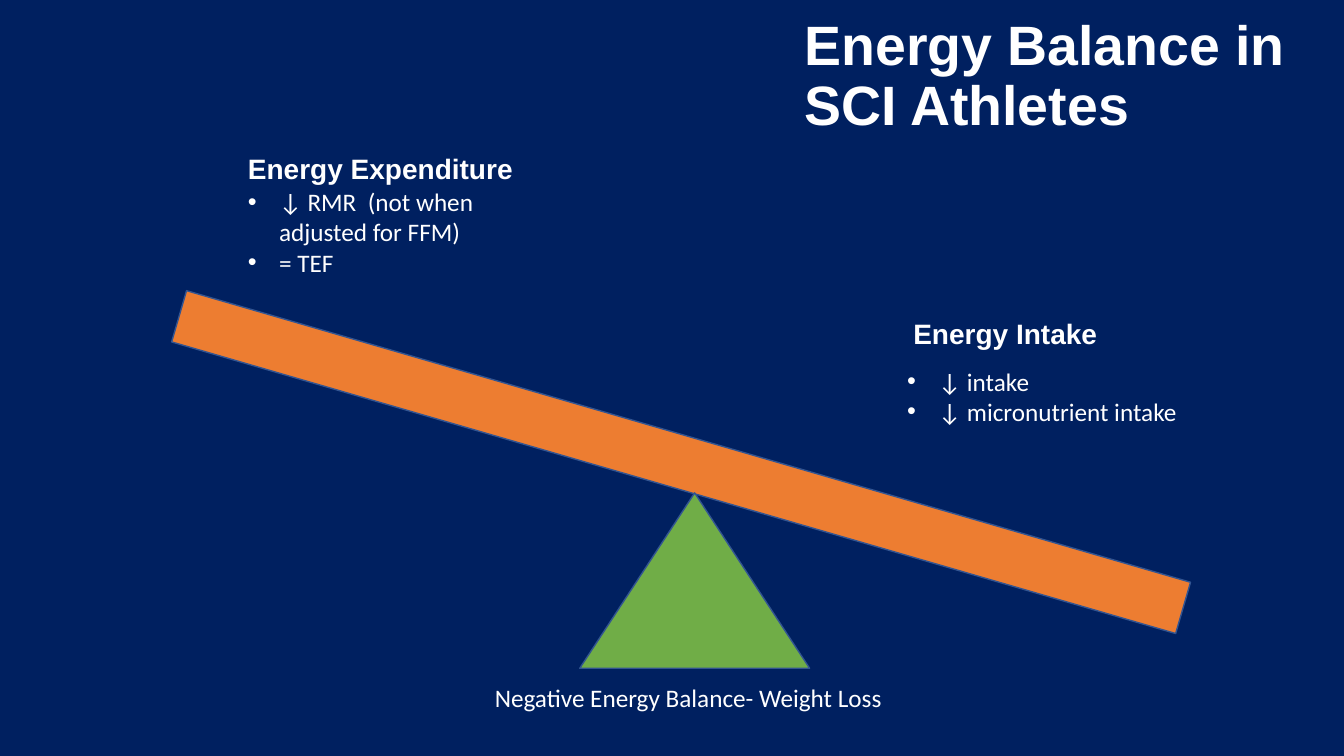
from lxml import etree
from pptx import Presentation
from pptx.dml.color import RGBColor
from pptx.enum.shapes import MSO_SHAPE
from pptx.enum.text import MSO_ANCHOR, MSO_AUTO_SIZE, PP_ALIGN
from pptx.oxml.ns import qn
from pptx.util import Inches, Pt

NAVY = RGBColor(0x00, 0x20, 0x60)
WHITE = RGBColor(0xFF, 0xFF, 0xFF)
ORANGE = RGBColor(0xED, 0x7D, 0x31)
GREEN = RGBColor(0x70, 0xAD, 0x47)
OUTLINE = RGBColor(0x32, 0x54, 0x91)
RECTANGLE = MSO_SHAPE.RECTANGLE
TRIANGLE = MSO_SHAPE.ISOSCELES_TRIANGLE
LEFT, MIDDLE, TOP = PP_ALIGN.LEFT, MSO_ANCHOR.MIDDLE, MSO_ANCHOR.TOP
NO_AUTOFIT = MSO_AUTO_SIZE.NONE
TITLE_ONLY = 5
BULLET_INDENT = Inches(0.31)


def add_bullet(paragraph):
    properties = paragraph._p.get_or_add_pPr()
    properties.set("marL", str(BULLET_INDENT))
    properties.set("indent", str(-BULLET_INDENT))
    etree.SubElement(properties, qn("a:buFont")).set("typeface", "Arial")
    etree.SubElement(properties, qn("a:buChar")).set("char", "•")


def write_text(frame, lines, size=18, font="Calibri", bold=False,
               bullets=False, anchor=TOP, spacing=1.0):
    frame.word_wrap = True
    frame.auto_size = NO_AUTOFIT
    frame.vertical_anchor = anchor
    for index, line in enumerate(lines):
        paragraph = frame.add_paragraph() if index else frame.paragraphs[0]
        paragraph.alignment = LEFT
        paragraph.line_spacing = spacing
        if bullets:
            add_bullet(paragraph)
        run = paragraph.add_run()
        run.text = line
        run.font.size = Pt(size)
        run.font.name = font
        run.font.bold = bold
        run.font.color.rgb = WHITE


def add_label(slide, box, lines, **text_format):
    label = slide.shapes.add_textbox(*map(Inches, box))
    write_text(label.text_frame, lines, **text_format)


def add_seesaw_part(slide, kind, box, color, rotation=0):
    part = slide.shapes.add_shape(kind, *map(Inches, box))
    part.rotation = rotation
    part.shadow.inherit = False
    part.fill.solid()
    part.fill.fore_color.rgb = color
    part.line.color.rgb = OUTLINE
    part.line.width = Pt(1)


def add_title(slide, box, text):
    title = slide.shapes.title
    title.left, title.top, title.width, title.height = map(Inches, box)
    write_text(title.text_frame, [text], size=39.6, font="Arial", bold=True,
               anchor=MIDDLE, spacing=0.9)


def main():
    deck = Presentation()
    deck.slide_width, deck.slide_height = Inches(13.33), Inches(7.5)
    slide = deck.slides.add_slide(deck.slide_layouts[TITLE_ONLY])
    slide.background.fill.solid()
    slide.background.fill.fore_color.rgb = NAVY
    add_title(slide, (7.88, 0.37, 5.06, 0.79), "Energy Balance in SCI Athletes")

    # Seesaw: tilted beam on its pivot
    add_seesaw_part(slide, RECTANGLE, (1.57, 4.32, 10.37, 0.53), ORANGE, 16.2)
    add_seesaw_part(slide, TRIANGLE, (5.75, 4.89, 2.28, 1.74), GREEN)
    add_label(slide, (4.81, 6.72, 4.16, 0.4),
              ["Negative Energy Balance- Weight Loss"])

    # The two sides of the balance
    heading = {"size": 20, "font": "Arial", "bold": True}
    add_label(slide, (2.36, 1.45, 3.62, 0.44), ["Energy Expenditure"], **heading)
    add_label(slide, (2.36, 1.8, 2.74, 1.31),
              ["↓ RMR  (not when adjusted for FFM)", "= TEF"], bullets=True)
    add_label(slide, (8.96, 3.09, 2.63, 0.44), ["Energy Intake"], **heading)
    add_label(slide, (8.9, 3.58, 3, 1.31),
              ["↓ intake", "↓ micronutrient intake"], bullets=True)

    deck.save("out.pptx")


if __name__ == "__main__":
    main()
